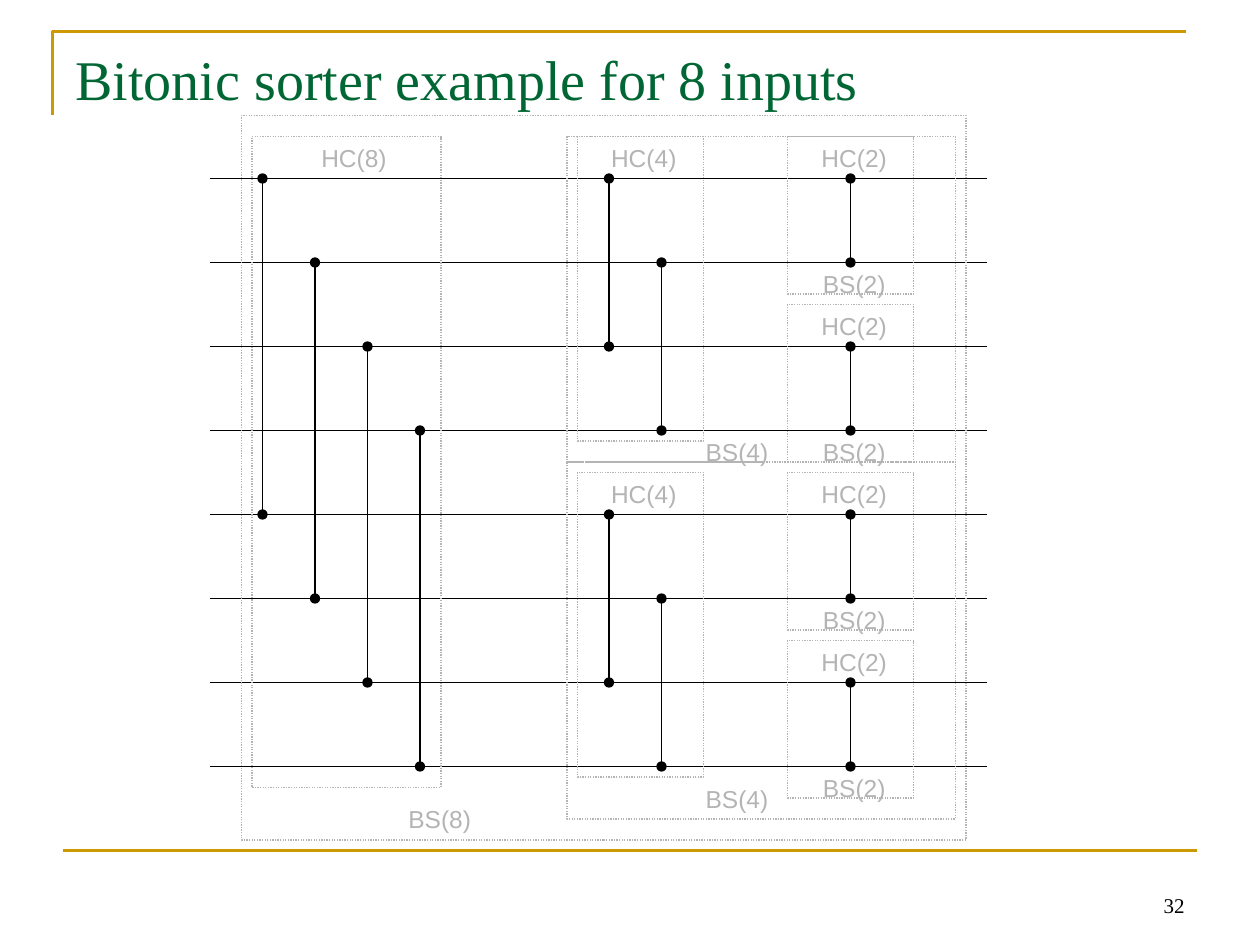
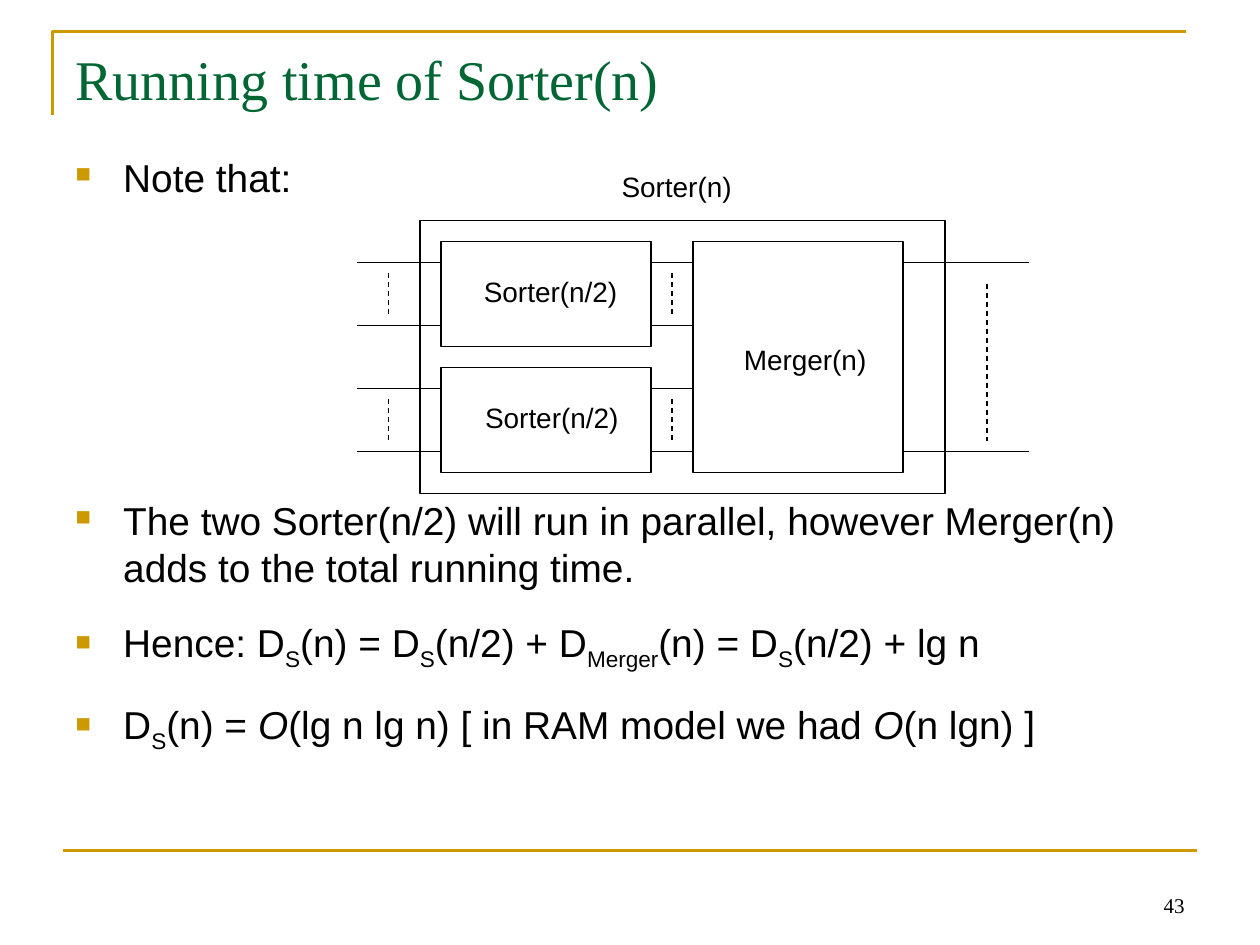
from lxml import etree
from pptx import Presentation
from pptx.dml.color import RGBColor
from pptx.enum.dml import MSO_LINE
from pptx.enum.shapes import MSO_CONNECTOR, MSO_SHAPE
from pptx.enum.text import MSO_ANCHOR, PP_ALIGN
from pptx.oxml.ns import qn
from pptx.util import Inches, Pt

STRAIGHT = MSO_CONNECTOR.STRAIGHT
RECTANGLE = MSO_SHAPE.RECTANGLE
DOTTED, DASHED = MSO_LINE.ROUND_DOT, MSO_LINE.DASH
TOP, BOTTOM = MSO_ANCHOR.TOP, MSO_ANCHOR.BOTTOM
LEFT, CENTER, RIGHT = PP_ALIGN.LEFT, PP_ALIGN.CENTER, PP_ALIGN.RIGHT

GRID = 12  # lines and boxes snap to twelfths of an inch
COLORS = {"gold": "CC9900", "green": "006633", "gray": "B4B4B4", "black": "000000"}
TITLE = {"name": "Times New Roman", "size": Pt(32), "color": "green"}
PAGE_NUMBER = {"name": "Times New Roman", "size": Pt(12), "color": "black"}
BODY = {"name": "Arial", "size": Pt(22.2), "color": "black"}
STAGE_LABEL = {"name": "Arial", "size": Pt(14), "color": "gray"}
BLOCK_LABEL = {"name": "Arial", "size": Pt(16), "color": "black"}


def format_font(font, style):
    for name, value in style.items():
        if name == "color":
            font.color.rgb = RGBColor.from_string(COLORS[value])
        else:
            setattr(font, name, value)


def format_line(shape, color, width=0.75, dash=None):
    shape.line.color.rgb = RGBColor.from_string(COLORS[color])
    shape.line.width = Pt(width)
    if dash:
        shape.line.dash_style = dash


# Sorting network: lines are (x1, y1, x2, y2, kind), boxes (left, top, width,
# height) and labels (text, center, top).
wire_y = [1.42 + wire * 2 / 3 for wire in range(8)]
network_lines = [(1.67, y, 7.83, y, "wire") for y in wire_y]
network_boxes = [(4.5, 1.08, 3.08, 2.58), (4.5, 3.67, 3.08, 2.83), (1.92, 0.92, 5.75, 5.75)]
network_labels = [("BS(4)", 5.85, 3.42), ("BS(4)", 5.85, 6.17), ("BS(8)", 3.49, 6.33)]
# Inputs per cleaner, first comparator, box left, width, height, label center
stages = [(8, 2.08, 2, 1.5, 5.17, 2.81),
          (4, 4.83, 4.58, 1, 2.42, 5.11),
          (2, 6.75, 6.25, 1, 1.25, 6.78)]
for inputs, comparator_x, left, width, height, center in stages:
    half = inputs // 2
    for first in range(0, 8, inputs):
        top = wire_y[first] - 1 / 3
        network_boxes.append((left, top, width, height))
        network_labels.append((f"HC({inputs})", center, top))
        if inputs == 2:
            network_labels.append(("BS(2)", center, wire_y[first + 1]))
        for offset in range(half):
            x = comparator_x + offset * 5 / 12
            network_lines.append((x, wire_y[first + offset], x,
                                  wire_y[first + offset + half], "comparator"))

# Recursive sorter
sorter_boxes = [(3.33, 1.75, 4.17, 2.17), (3.5, 1.92, 1.67, 0.83),
                (3.5, 2.92, 1.67, 0.83), (5.5, 1.92, 1.67, 1.83)]
sorter_labels = [("Sorter(n)", 5.37, 1.3), ("Sorter(n/2)", 4.37, 2.13),
                 ("Sorter(n/2)", 4.38, 3.13), ("Merger(n)", 6.39, 2.67)]
sorter_lines = [(7.83, 2.25, 7.83, 3.5, "ellipsis")]
for start, end in [(2.83, 3.5), (5.17, 5.5)]:
    sorter_lines += [(start, y, end, y, "wire") for y in (2.08, 2.58, 3.08, 3.58)]
sorter_lines += [(7.17, y, 8.17, y, "wire") for y in (2.08, 3.58)]
for x in (3.08, 5.33):
    sorter_lines += [(x, y, x, y + 0.33, "ellipsis") for y in (2.17, 3.17)]

# Space before in points, then runs of (text, style)
SUBSCRIPT, ITALIC = "subscript", "italic"
sorter_body = [
    (0, [("Note that:", None)]),
    (169.5, [("The two Sorter(n/2) will run in parallel, however Merger(n) "
              "adds to the total running time.", None)]),
    (16.5, [("Hence: D", None), ("S", SUBSCRIPT), ("(n) = D", None), ("S", SUBSCRIPT),
            ("(n/2) + D", None), ("Merger", SUBSCRIPT), ("(n) = D", None),
            ("S", SUBSCRIPT), ("(n/2) + lg n", None)]),
    (16.5, [("D", None), ("S", SUBSCRIPT), ("(n) = ", None), ("O", ITALIC),
            ("(lg n lg n) [ in RAM model we had ", None), ("O", ITALIC),
            ("(n lgn) ]", None)]),
]

# The last item is the label width.
slides = [
    ("Bitonic sorter example for 8 inputs", "32", [], network_lines, network_boxes,
     ("gray", 0.75, DOTTED), network_labels, STAGE_LABEL, 0.9),
    ("Running time of Sorter(n)", "43", sorter_body, sorter_lines, sorter_boxes,
     ("black",), sorter_labels, BLOCK_LABEL, 1.5),
]

presentation = Presentation()
presentation.slide_width = Inches(10)
presentation.slide_height = Inches(7.5)

for (title_text, number, body, lines, boxes, box_line,
     labels, label_style, label_width) in slides:
    slide = presentation.slides.add_slide(presentation.slide_layouts[5])
    shapes = slide.shapes

    builder = shapes.build_freeform(Inches(5 / GRID), Inches(11 / GRID))
    builder.add_line_segments([(Inches(5 / GRID), Inches(0.25)),
                               (Inches(113 / GRID), Inches(0.25))], close=False)
    corner = builder.convert_to_shape()
    corner.shadow.inherit = False
    corner.fill.background()
    format_line(corner, "gold", 1.5)

    title = shapes.title
    title.left, title.top, title.width, title.height = map(Inches, (0.5, 0.3, 9, 1.25))
    title.text_frame.text = title_text
    title.text_frame.vertical_anchor = TOP
    title.text_frame.paragraphs[0].alignment = LEFT
    format_font(title.text_frame.paragraphs[0].font, TITLE)

    if body:
        frame = shapes.add_textbox(Inches(0.5), Inches(1.17), Inches(9), Inches(4.96)).text_frame
        frame.word_wrap = True
        for index, (space_before, runs) in enumerate(body):
            paragraph = frame.paragraphs[0] if index == 0 else frame.add_paragraph()
            paragraph.space_before = Pt(space_before)
            properties = paragraph._p.get_or_add_pPr()
            properties.set("marL", str(Inches(0.38)))
            properties.set("indent", str(-Inches(0.38)))
            bullet_color = etree.SubElement(properties, qn("a:buClr"))
            etree.SubElement(bullet_color, qn("a:srgbClr"), val=COLORS["gold"])
            etree.SubElement(properties, qn("a:buSzPct"), val="55000")
            etree.SubElement(properties, qn("a:buChar"), char="■")
            for text, style in runs:
                run = paragraph.add_run()
                run.text = text
                format_font(run.font, BODY)
                if style == ITALIC:
                    run.font.italic = True
                elif style == SUBSCRIPT:
                    run.font._element.set("baseline", "-25000")

    for *ends, kind in [(0.5, 6.75, 9.5, 6.75, "footer rule")] + lines:
        connector = shapes.add_connector(
            STRAIGHT, *[Inches(round(value * GRID) / GRID) for value in ends])
        if kind == "footer rule":
            format_line(connector, "gold", 1.5)
        else:
            format_line(connector, "black", dash=DASHED if kind == "ellipsis" else None)
        if kind == "comparator":
            for line_end in ("a:headEnd", "a:tailEnd"):
                etree.SubElement(connector.line._get_or_add_ln(), qn(line_end), type="oval")
        etree.SubElement(connector._element.spPr, qn("a:effectLst"))

    for position in boxes:
        box = shapes.add_shape(
            RECTANGLE, *[Inches(round(value * GRID) / GRID) for value in position])
        box.shadow.inherit = False
        box.fill.background()
        format_line(box, *box_line)

    for text, center, top in labels:
        label = shapes.add_textbox(Inches(center - label_width / 2), Inches(top),
                                   Inches(label_width), Inches(0.35))
        label.text_frame.word_wrap = False
        paragraph = label.text_frame.paragraphs[0]
        paragraph.text = text
        paragraph.alignment = CENTER
        format_font(paragraph.font, label_style)

    page_number = shapes.add_textbox(Inches(7.17), Inches(6.83), Inches(2.33), Inches(0.5))
    page_number.text_frame.word_wrap = True
    page_number.text_frame.vertical_anchor = BOTTOM
    paragraph = page_number.text_frame.paragraphs[0]
    paragraph.text = number
    paragraph.alignment = RIGHT
    format_font(paragraph.font, PAGE_NUMBER)

presentation.save("out.pptx")
